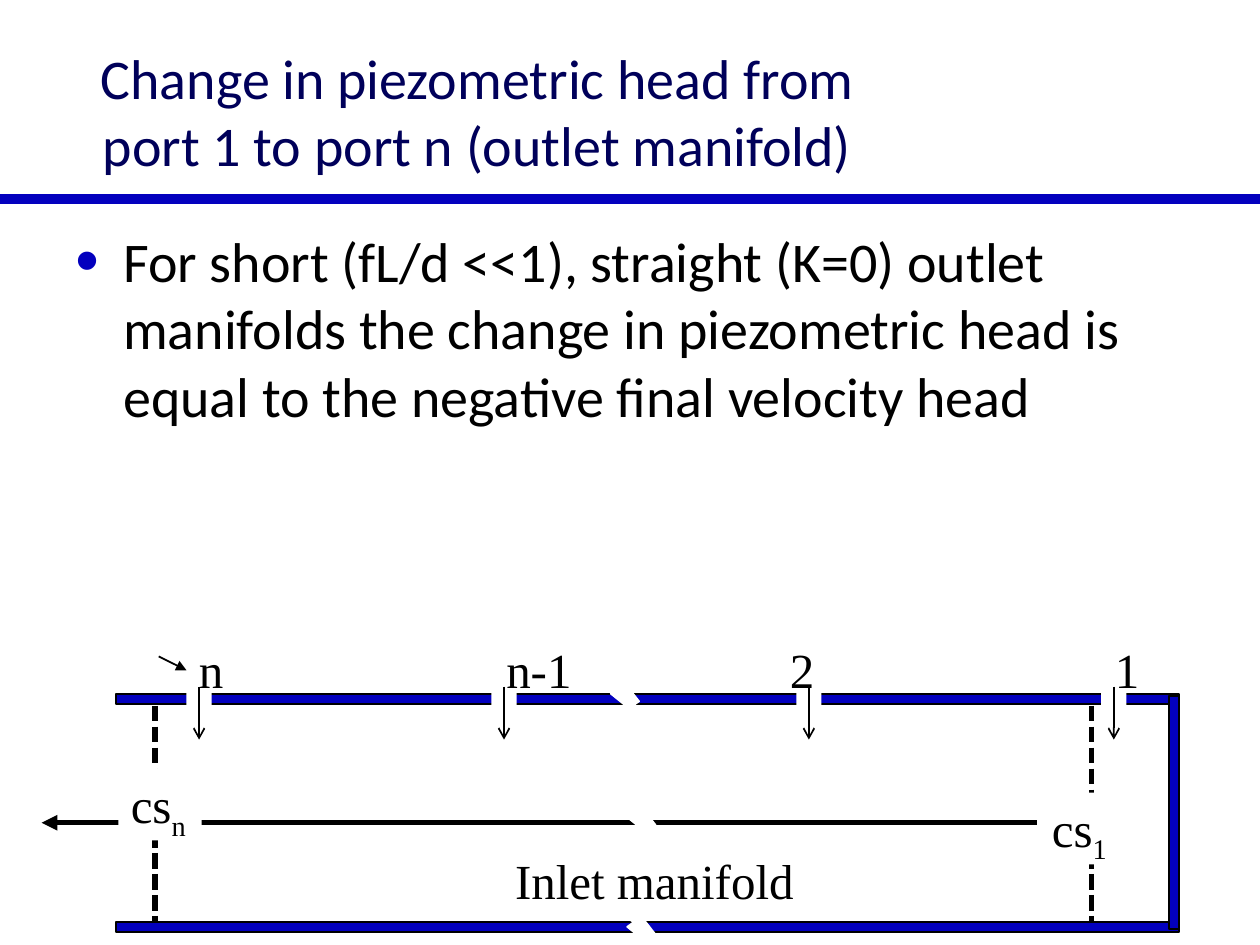
"""Build the outlet manifold slide: a statement above a diagram of a ported pipe."""
from lxml import etree
from pptx import Presentation
from pptx import util as u
from pptx.dml import color
from pptx.enum import dml, shapes, text
from pptx.oxml import ns

COLORS = {"blue": "0300BE", "navy": "00005A", "black": "000000", "white": "FFFFFF"}
HEADING = {"name": "Calibri", "size": u.Pt(32)}
LABEL = {"name": "Times New Roman", "size": u.Pt(28)}
PORT_LABELS = [("n", 1.48), ("n-1", 3.92), ("2", 6.17), ("1", 8.75)]
FIRST_PORT, PORT_STEP = 1.58, 2.42
BREAKS = [(4.75, 5.25), (4.88, 7.1), (4.88, 6.23)]


def rgb(name):
    """Return the palette colour with this name."""
    return color.RGBColor.from_string(COLORS[name])


def add_tag(parent, tag, **attributes):
    """Append a DrawingML element to its parent."""
    return etree.SubElement(parent, ns.qn(tag), attributes)


def add_solid(slide, kind, box, fill, outline=None):
    """Add a filled preset shape, outlined if a colour is given."""
    solid = slide.shapes.add_shape(kind, *map(u.Inches, box))
    solid.shadow.inherit = False
    solid.fill.solid()
    solid.fill.fore_color.rgb = rgb(fill)
    if outline:
        solid.line.color.rgb = rgb(outline)
        solid.line.width = u.Pt(1)
    else:
        solid.line.fill.background()
    return solid


def add_line(slide, start, end, width=1, ink="black", head=None, dash=None):
    """Add a straight line with an optional arrowhead and dash."""
    line = slide.shapes.add_connector(
        shapes.MSO_CONNECTOR.STRAIGHT, *map(u.Inches, (*start, *end)))
    line.line.color.rgb = rgb(ink)
    line.line.width = u.Pt(width)
    if dash:
        line.line.dash_style = dash
    if head:
        add_tag(line.line._get_or_add_ln(), "a:tailEnd", type=head)
    add_tag(line._element.spPr, "a:effectLst")


def add_run(paragraph, words, style, ink="black", baseline=None):
    """Add a formatted run, lowered if a baseline is given."""
    run = paragraph.add_run()
    run.text = words
    for attribute, value in style.items():
        setattr(run.font, attribute, value)
    run.font.color.rgb = rgb(ink)
    if baseline:
        run._r.get_or_add_rPr().set("baseline", baseline)


def add_text(slide, box, words, style=LABEL, ink="black", wrap=False, subscript=None):
    """Add a text box and return it."""
    holder = slide.shapes.add_textbox(*map(u.Inches, box))
    holder.text_frame.word_wrap = wrap
    paragraph = holder.text_frame.paragraphs[0]
    add_run(paragraph, words, style, ink)
    if subscript:
        add_run(paragraph, subscript, style, ink, "-25000")
    return holder


def add_heading(slide):
    """Add the title, the rule below it and the bulleted statement."""
    add_line(slide, (0, 1.58), (10, 1.58), 6, "blue")
    title = add_text(slide, (0.5, 0.25, 6.58, 1.25),
                     "Change in piezometric head from port 1 to port n (outlet manifold)",
                     HEADING, "navy", True)
    title.text_frame.vertical_anchor = text.MSO_ANCHOR.MIDDLE
    title.text_frame.paragraphs[0].alignment = text.PP_ALIGN.CENTER

    statement = add_text(
        slide, (0.5, 1.75, 9, 4.95),
        "For short (fL/d <<1), straight (K=0) outlet manifolds the change in "
        "piezometric head is equal to the negative final velocity head",
        HEADING, wrap=True)
    props = statement.text_frame.paragraphs[0]._p.get_or_add_pPr()
    props.set("marL", str(u.Inches(0.38)))
    props.set("indent", str(u.Inches(-0.38)))
    add_tag(add_tag(props, "a:buClr"), "a:srgbClr", val=COLORS["blue"])
    add_tag(props, "a:buSzPct", val="120000")
    add_tag(props, "a:buFont", typeface="Arial")
    add_tag(props, "a:buChar", char="•")


def add_manifold(slide):
    """Add the pipe walls, ports, flow arrows and control sections."""
    rect = shapes.MSO_SHAPE.RECTANGLE
    for top in (5.51, 7.32):
        add_solid(slide, rect, (0.92, top, 8.44, 0.08), "blue", "black")
    end_wall = add_solid(slide, rect, (8.39, 6.41, 1.85, 0.08), "blue", "black")
    end_wall.rotation = 90
    add_line(slide, (8.23, 6.53), (0.33, 6.53), 3, head="triangle")

    for index, (name, left) in enumerate(PORT_LABELS):
        port = FIRST_PORT + index * PORT_STEP
        add_solid(slide, rect, (port - 0.1, 5.25, 0.2, 0.57), "white")
        width = 0.73 if len(name) > 1 else 0.4
        add_text(slide, (left, 5.03, width, 0.57), name)
        add_line(slide, (port, 5.45), (port, 5.87), head="arrow")

    for left, top in BREAKS:
        add_solid(slide, shapes.MSO_SHAPE.LIGHTNING_BOLT,
                  (left, top, 0.42, 0.57), "white", "white")
    add_line(slide, (1.26, 5.21), (1.48, 5.32), head="triangle")

    for section, left, top, subscript in ((1.23, 0.94, 6.1, "n"), (8.66, 8.25, 6.29, "1")):
        add_line(slide, (section, 5.6), (section, 7.32), 3,
                 dash=dml.MSO_LINE.SQUARE_DOT)
        label = add_text(slide, (left, top, 0.66, 0.57), "cs", subscript=subscript)
        label.fill.solid()
        label.fill.fore_color.rgb = rgb("white")
    add_text(slide, (3.99, 6.7, 2.44, 0.57), "Inlet manifold")


def main():
    """Build and save the slide."""
    deck = Presentation()
    deck.slide_width, deck.slide_height = u.Inches(10), u.Inches(7.5)
    slide = deck.slides.add_slide(deck.slide_layouts[6])
    add_heading(slide)
    add_manifold(slide)
    deck.save("out.pptx")


if __name__ == "__main__":
    main()
